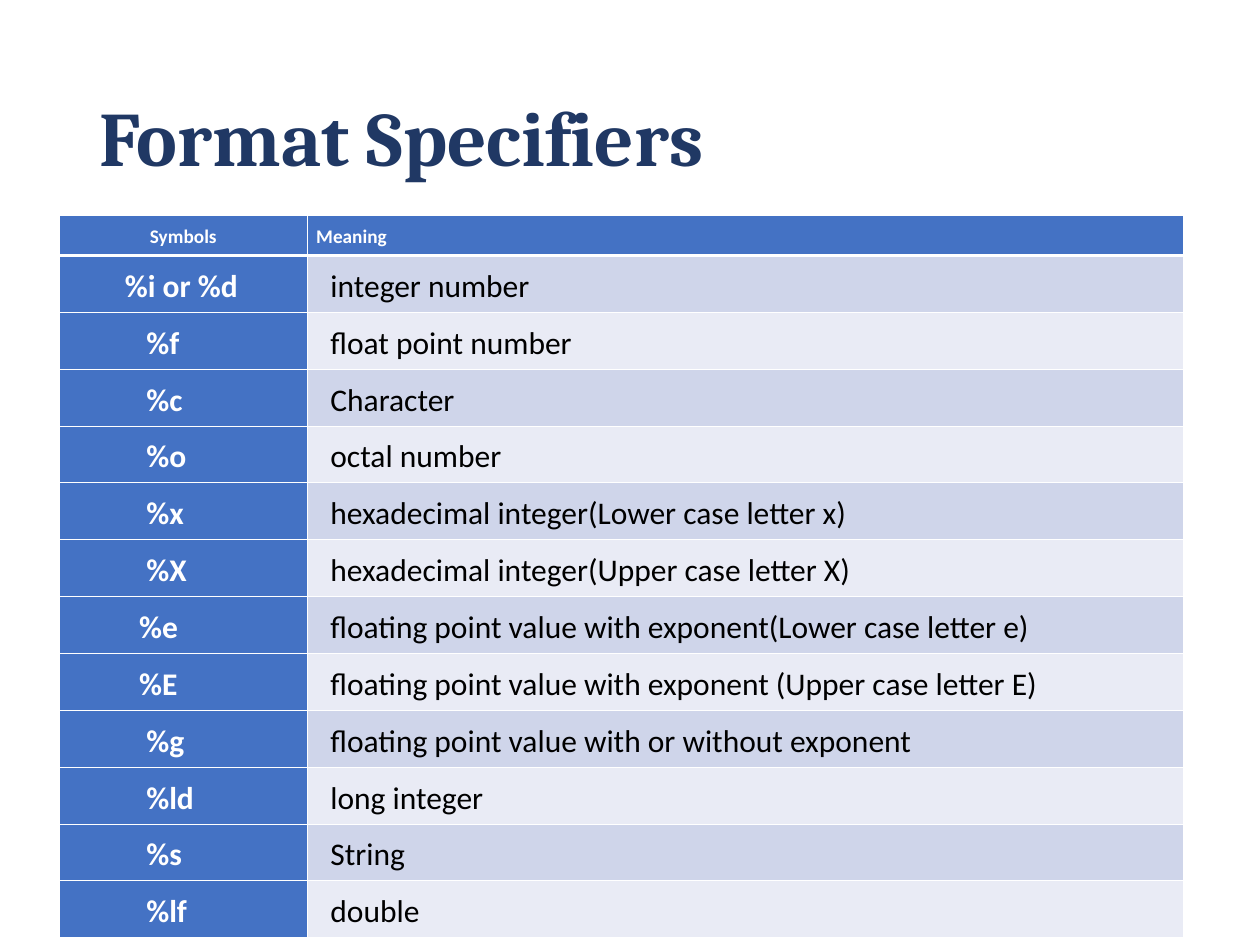
from dataclasses import dataclass
from typing import Any

import lxml.etree
import pptx
import pptx.dml.color
import pptx.enum.text
import pptx.oxml.ns
import pptx.util

GRID_COLUMNS, GRID_ROWS = 100, 75
CELL = pptx.util.Inches(0.1)
ALIGN = pptx.enum.text.PP_ALIGN
WHITE, BLUE = "FFFFFF", "4472C4"
BANDS = ("CFD5EA", "E9EBF5")
HEADER_HEIGHT, ROW_HEIGHT = 3.1, 4.5
COLUMN_WIDTHS = (19.7, 69.5)
SPACE_WIDTH = 0.565


@dataclass(frozen=True)
class Specifier:
    symbol: str
    meaning: str
    indent: int = 11


SPECIFIERS = (
    Specifier("%i or %d", "integer number", 8),
    Specifier("%f", "float point number"),
    Specifier("%c", "Character"),
    Specifier("%o", "octal number"),
    Specifier("%x", "hexadecimal integer(Lower case letter x)"),
    Specifier("%X", "hexadecimal integer(Upper case letter X)"),
    Specifier("%e", "floating point value with exponent(Lower case letter e)", 10),
    Specifier("%E", "floating point value with exponent (Upper case letter E)", 10),
    Specifier("%g", "floating point value with or without exponent"),
    Specifier("%ld", "long integer"),
    Specifier("%s", "String"),
    Specifier("%lf", "double"),
)


def grid(count: float) -> int:
    return round(count * CELL)


def color(value: str) -> pptx.dml.color.RGBColor:
    return pptx.dml.color.RGBColor.from_string(value)


def apply_format(target: Any, values: dict[str, Any]) -> None:
    for name, value in values.items():
        setattr(target, name, value)


def write_text(frame: Any, text: str, font: str, size: float, text_color: str,
               bold: bool, align: Any, spacing: float, indent: float = 0) -> None:
    paragraph = frame.paragraphs[0]
    apply_format(paragraph, {"alignment": align, "line_spacing": spacing})
    if indent:
        properties = paragraph._p.get_or_add_pPr()
        properties.set("marL", str(grid(indent)))
        properties.set("indent", "0")
    run = paragraph.add_run()
    run.text = text
    apply_format(run.font, {"name": font, "size": pptx.util.Pt(size), "bold": bold})
    run.font.color.rgb = color(text_color)


def set_borders(cell: Any, widths: dict[str, float]) -> None:
    properties = cell._tc.get_or_add_tcPr()
    for position, (side, width) in enumerate(widths.items()):
        line = lxml.etree.Element(pptx.oxml.ns.qn(f"a:{side}"), w=str(pptx.util.Pt(width)))
        fill = lxml.etree.SubElement(line, pptx.oxml.ns.qn("a:solidFill"))
        lxml.etree.SubElement(fill, pptx.oxml.ns.qn("a:srgbClr"), val=WHITE)
        properties.insert(position, line)


def draw_cell(table: Any, row: int, column: int, text: str, fill: str, size: float,
              text_color: str, bold: bool, align: Any, indent: float = 0) -> None:
    cell = table.cell(row, column)
    side, edge = grid(0.7), grid(0.5)
    apply_format(cell, {"margin_left": side, "margin_right": side,
                        "margin_top": edge, "margin_bottom": edge})
    cell.fill.solid()
    cell.fill.fore_color.rgb = color(fill)
    write_text(cell.text_frame, text, "Calibri", size, text_color, bold, align, 1.15, indent)
    set_borders(cell, {"lnL": 0.45, "lnR": 0.45,
                       "lnT": 1.47 if row == 1 else 0.45,
                       "lnB": 1.47 if row == 0 else 0.45})


def draw_title(slide: Any) -> None:
    title = slide.shapes.title
    apply_format(title, {"left": grid(6.9), "top": grid(4),
                         "width": grid(86.3), "height": grid(14.5)})
    apply_format(title.text_frame, {"word_wrap": True,
                                    "vertical_anchor": pptx.enum.text.MSO_ANCHOR.MIDDLE})
    write_text(title.text_frame, "Format Specifiers", "Cambria", 44, "203864", True,
               ALIGN.LEFT, 0.9)


def draw_table(slide: Any) -> None:
    row_heights = [HEADER_HEIGHT] + [ROW_HEIGHT] * len(SPECIFIERS)
    table = slide.shapes.add_table(
        len(row_heights), len(COLUMN_WIDTHS), grid(4.7), grid(17.1),
        grid(sum(COLUMN_WIDTHS)), grid(sum(row_heights))).table
    for column, width in zip(table.columns, COLUMN_WIDTHS):
        column.width = grid(width)
    for row, height in zip(table.rows, row_heights):
        row.height = grid(height)
    for column, (heading, align) in enumerate((("Symbols", ALIGN.CENTER), ("Meaning", ALIGN.LEFT))):
        draw_cell(table, 0, column, heading, BLUE, 11, WHITE, True, align)
    for row, specifier in enumerate(SPECIFIERS, start=1):
        draw_cell(table, row, 0, specifier.symbol, BLUE, 18, WHITE, True,
                  ALIGN.JUSTIFY, specifier.indent * SPACE_WIDTH)
        draw_cell(table, row, 1, specifier.meaning, BANDS[(row - 1) % 2], 18, "000000", False,
                  ALIGN.JUSTIFY, 2 * SPACE_WIDTH)


presentation = pptx.Presentation()
apply_format(presentation, {"slide_width": grid(GRID_COLUMNS), "slide_height": grid(GRID_ROWS)})
slide = presentation.slides.add_slide(presentation.slide_layouts.get_by_name("Title Only"))
draw_title(slide)
draw_table(slide)
presentation.save("out.pptx")
